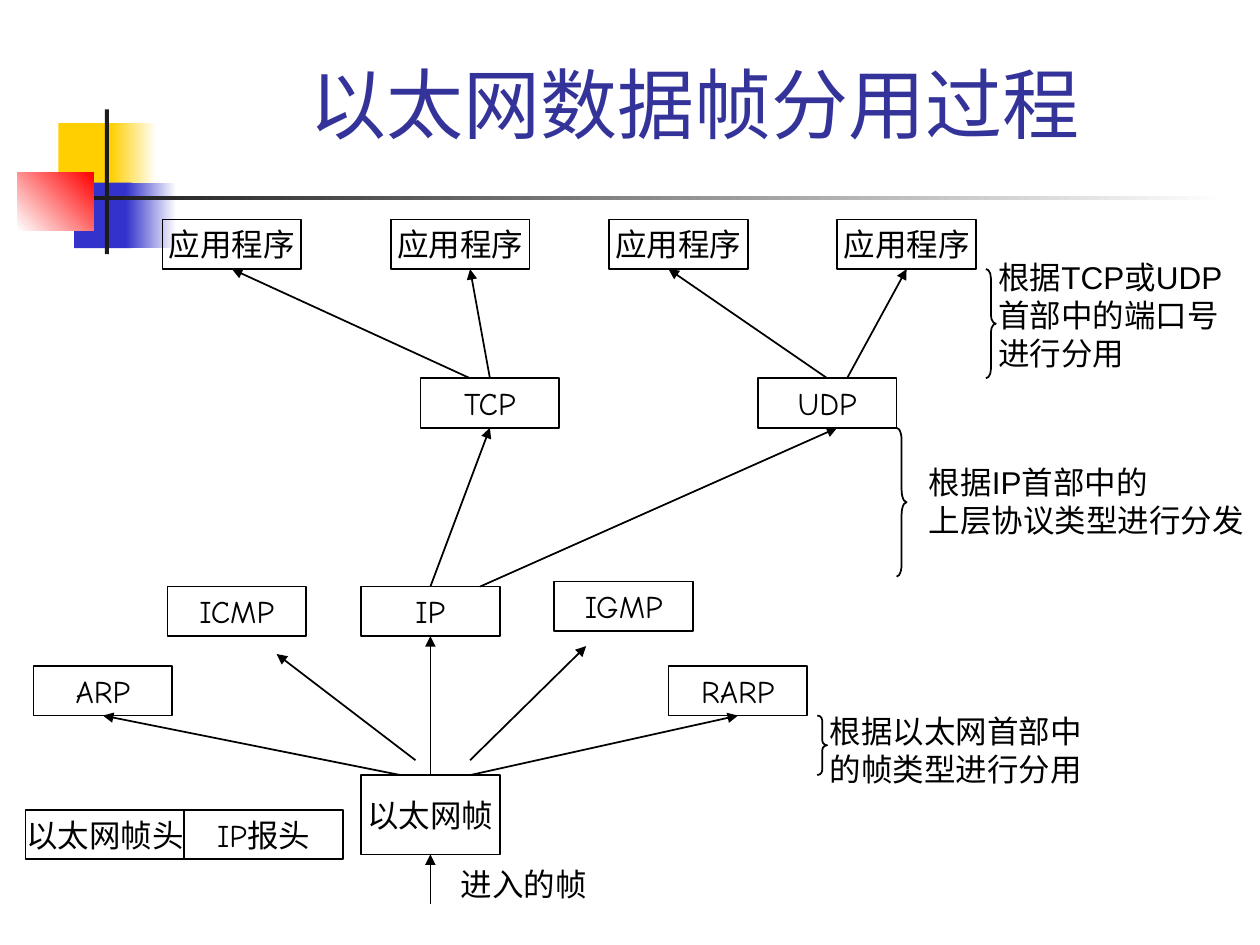
from dataclasses import dataclass

from lxml.etree import SubElement
from pptx import Presentation
from pptx.dml.color import RGBColor
from pptx.enum.shapes import MSO_CONNECTOR, MSO_SHAPE
from pptx.enum.text import MSO_ANCHOR, MSO_AUTO_SIZE, PP_ALIGN
from pptx.oxml.ns import qn
from pptx.util import Inches, Mm, Pt


@dataclass(frozen=True)
class Theme:
    ink: str = "000000"
    title: str = "333399"
    yellow: str = "FFCF01"
    blue: str = "3333CC"
    red: str = "FF0000"
    bar: str = "1C1C1C"
    white: str = "FFFFFF"
    title_font: str = "Lato"
    box_font: str = "Comic Neue"
    note_font: str = "Arial"
    title_size: int = 44
    text_size: int = 18
    line_width: int = 1


THEME = Theme()
TOP, BOTTOM = 0, 2  # connection sites of a rectangle
BOX_WIDTH, BOX_HEIGHT = 14, 5


# Grid of 2 mm columns and rows
def grid_x(column):
    return Inches(0.03) + Mm(2 * column)


def grid_y(row):
    return Inches(0.01) + Mm(2 * row)


def grid_area(column, row, columns, rows):
    return grid_x(column), grid_y(row), Mm(2 * columns), Mm(2 * rows)


def color(value):
    return RGBColor.from_string(value)


def set_text(text_frame, lines, font_name, size, text_color, alignment):
    text_frame.text = "\n".join(lines)
    for paragraph in text_frame.paragraphs:
        paragraph.alignment = alignment
        for run in paragraph.runs:
            run.font.name = font_name
            run.font.size = Pt(size)
            run.font.color.rgb = color(text_color)


def outline(line):
    line.color.rgb = color(THEME.ink)
    line.width = Pt(THEME.line_width)


def add_decoration(slide, area, start, end=None, angle=0):
    shape = slide.shapes.add_shape(MSO_SHAPE.RECTANGLE, *grid_area(*area))
    shape.shadow.inherit = False
    shape.line.fill.background()
    if end is None:
        shape.fill.solid()
        shape.fill.fore_color.rgb = color(start)
    else:
        shape.fill.gradient()
        shape.fill.gradient_angle = angle
        for stop, value in zip(shape.fill.gradient_stops, (start, end)):
            stop.color.rgb = color(value)


def add_title(slide, text):
    title = slide.shapes.title
    title.left, title.top, title.width, title.height = grid_area(15.6, 2.8, 108.2, 12.7)
    text_frame = title.text_frame
    text_frame.auto_size = MSO_AUTO_SIZE.NONE
    text_frame.vertical_anchor = MSO_ANCHOR.BOTTOM
    set_text(text_frame, [text], THEME.title_font, THEME.title_size,
             THEME.title, PP_ALIGN.CENTER)


def add_box(slide, label, column, row, columns=BOX_WIDTH, rows=BOX_HEIGHT):
    box = slide.shapes.add_shape(
        MSO_SHAPE.RECTANGLE, *grid_area(column, row, columns, rows))
    box.shadow.inherit = False
    box.fill.background()
    outline(box.line)
    box.text_frame.word_wrap = False
    box.text_frame.vertical_anchor = MSO_ANCHOR.MIDDLE
    set_text(box.text_frame, [label], THEME.box_font, THEME.text_size,
             THEME.ink, PP_ALIGN.CENTER)
    return box


def add_arrow(slide, start, end):
    """Each end is a (column, row) point or a (box, site) joint."""
    points = [(0, 0) if hasattr(target, "shape_id") else (grid_x(target), grid_y(row))
              for target, row in (start, end)]
    arrow = slide.shapes.add_connector(MSO_CONNECTOR.STRAIGHT, *points[0], *points[1])
    for (target, site), join in ((start, arrow.begin_connect), (end, arrow.end_connect)):
        if hasattr(target, "shape_id"):
            join(target, site)
    outline(arrow.line)
    SubElement(arrow.line._get_or_add_ln(), qn("a:tailEnd"), type="triangle")
    SubElement(arrow._element.spPr, qn("a:effectLst"))


def add_brace(slide, column, row, rows, curve):
    brace = slide.shapes.add_shape(
        MSO_SHAPE.RIGHT_BRACE, *grid_area(column, row, 1, rows))
    brace.shadow.inherit = False
    brace.fill.background()
    outline(brace.line)
    brace.adjustments[0] = curve
    brace.adjustments[1] = 0.5


def add_note(slide, lines, area, wrap=False):
    note = slide.shapes.add_textbox(*grid_area(*area))
    note.text_frame.word_wrap = wrap
    note.text_frame.auto_size = MSO_AUTO_SIZE.SHAPE_TO_FIT_TEXT
    set_text(note.text_frame, lines, THEME.note_font, THEME.text_size,
             THEME.ink, PP_ALIGN.LEFT)


def add_decorations(slide):
    add_decoration(slide, (5.5, 12.3, 6.1, 6.6), THEME.yellow)
    add_decoration(slide, (10.8, 12.3, 4.6, 6.6), THEME.yellow, THEME.white)
    add_decoration(slide, (7.1, 18.3, 5.8, 6.6), THEME.blue)
    add_decoration(slide, (12.3, 18.3, 5.1, 6.6), THEME.blue, THEME.white)
    add_decoration(slide, (1.4, 17.3, 7.7, 5.8), THEME.white, THEME.red, 45)
    add_decoration(slide, (10.2, 10.9, 0.4, 14.6), THEME.bar)
    add_decoration(slide, (9.1, 19.6, 114.3, 0.4), THEME.bar, THEME.white)


def add_protocol_tree(slide):
    # Boxes, from the incoming frame up to the applications
    frame = add_box(slide, "以太网帧", 36, 78, rows=8)
    arp = add_box(slide, "ARP", 3, 67)
    rarp = add_box(slide, "RARP", 67, 67)
    ip = add_box(slide, "IP", 36, 59)
    add_box(slide, "ICMP", 16.5, 59)
    add_box(slide, "IGMP", 55.5, 58.5)
    tcp = add_box(slide, "TCP", 42, 38)
    udp = add_box(slide, "UDP", 76, 38)
    applications = [add_box(slide, "应用程序", column, 22) for column in (16, 39, 61, 84)]

    # Headers of the frame, side by side
    for index, label in enumerate(("以太网帧头", "IP报头")):
        add_box(slide, label, 2.2 + 16 * index, 81.5, columns=16)

    # Arrows
    for start, end in (
        ((43, 91), (frame, BOTTOM)),
        ((frame, TOP), (ip, BOTTOM)),
        ((40, 78), (arp, BOTTOM)),
        ((47, 78), (rarp, BOTTOM)),
        ((41.5, 76.5), (27.5, 65.8)),
        ((47, 76.5), (58.7, 65)),
        ((ip, TOP), (tcp, BOTTOM)),
        ((48, 59), (84, 43)),
        ((47, 38), (applications[0], BOTTOM)),
        ((tcp, TOP), (47, 27)),
        ((udp, TOP), (67, 27)),
        ((85, 38), (applications[3], BOTTOM)),
    ):
        add_arrow(slide, start, end)


def add_explanations(slide):
    add_note(slide, ["进入的帧"], (44.8, 86.4, 15.2, 5))
    add_brace(slide, 82, 72, 6, 0.5)
    add_note(slide, ["根据以太网首部中", "的帧类型进行分用"], (82, 71, 28, 9))
    add_brace(slide, 90, 43, 15, 1.23)
    add_note(slide, ["根据IP首部中的", "上层协议类型进行分发"], (92, 45.9, 34.3, 9))
    add_brace(slide, 99, 27, 11, 0.9)
    add_note(slide, ["根据TCP或UDP", "首部中的端口号", "进行分用"],
             (99, 25.3, 25.1, 12.7), wrap=True)


def main():
    presentation = Presentation()
    presentation.slide_width, presentation.slide_height = Inches(10), Inches(7.5)
    slide = presentation.slides.add_slide(presentation.slide_layouts[5])
    add_decorations(slide)
    add_title(slide, "以太网数据帧分用过程")
    add_protocol_tree(slide)
    add_explanations(slide)
    presentation.save("out.pptx")


if __name__ == "__main__":
    main()
